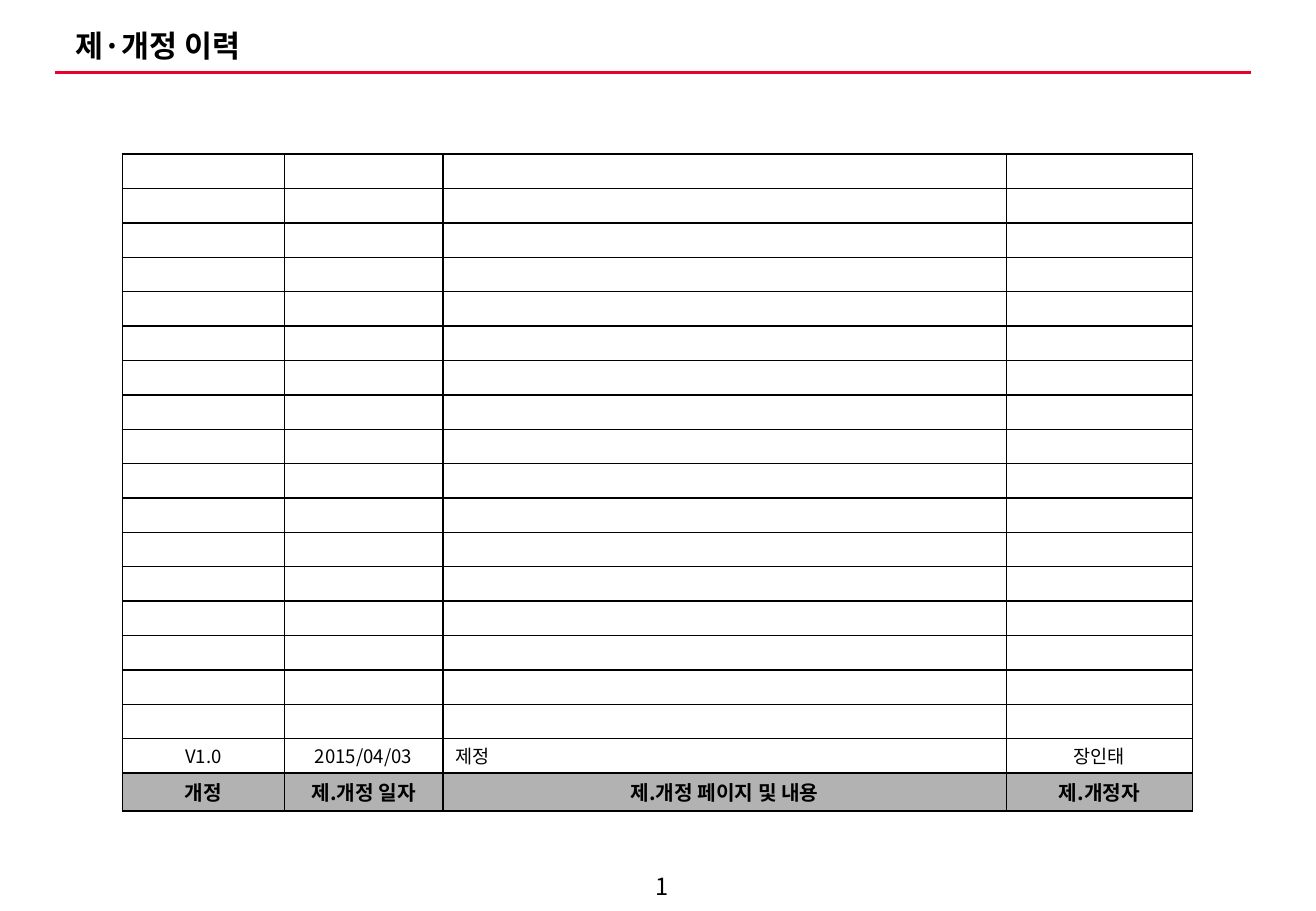
from dataclasses import dataclass

from lxml import etree
from pptx import Presentation
from pptx.dml import color
from pptx.enum import shapes, text
from pptx.oxml import ns
from pptx.util import Pt

FONT = "Noto Sans CJK KR"
COLORS = {"ink": "000000", "rule": "EA002C", "paper": "FFFFFF", "header": "B2B2B2"}
LEFT, CENTER = text.PP_ALIGN.LEFT, text.PP_ALIGN.CENTER
EMPTY_ROWS = 17
ROW_HEIGHT, HEADER_HEIGHT = 20.4, 22.5
BORDER_WIDTH = 1


@dataclass(frozen=True)
class Column:
    heading: str
    entry: str
    width: float
    entry_align: text.PP_ALIGN = CENTER


@dataclass(frozen=True)
class TextStyle:
    size: float
    bold: bool = False
    align: text.PP_ALIGN = CENTER
    line_spacing: float = 1.0


COLUMNS = [
    Column("개정", "V1.0", 95.9),
    Column("제.개정 일자", "2015/04/03", 94.1),
    Column("제.개정 페이지 및 내용", "제정", 334, LEFT),
    Column("제.개정자", "장인태", 110.2),
]


def rgb(name: str) -> color.RGBColor:
    return color.RGBColor.from_string(COLORS[name])


def write(text_frame, content: str, style: TextStyle) -> None:
    text_frame.text = content
    paragraph = text_frame.paragraphs[0]
    paragraph.alignment = style.align
    paragraph.line_spacing = style.line_spacing
    for run in paragraph.runs:
        run.font.name = FONT
        run.font.size = Pt(style.size)
        run.font.bold = style.bold
        run.font.color.rgb = rgb("ink")
        east_asian = etree.SubElement(run.font._element, ns.qn("a:ea"))
        east_asian.set("typeface", FONT)
    if not content:
        end = etree.SubElement(paragraph._p, ns.qn("a:endParaRPr"))
        end.set("sz", str(int(style.size * 100)))


def add_borders(cell) -> None:
    properties = cell._tc.get_or_add_tcPr()
    for side in ("lnL", "lnR", "lnT", "lnB"):
        line = etree.SubElement(properties, ns.qn(f"a:{side}"), w=str(Pt(BORDER_WIDTH)))
        fill = etree.SubElement(line, ns.qn("a:solidFill"))
        etree.SubElement(fill, ns.qn("a:srgbClr"), val=COLORS["ink"])


def fill_cell(cell, content: str, style: TextStyle, fill: str) -> None:
    cell.margin_top = cell.margin_bottom = 0
    cell.vertical_anchor = text.MSO_ANCHOR.MIDDLE
    add_borders(cell)
    cell.fill.solid()
    cell.fill.fore_color.rgb = rgb(fill)
    write(cell.text_frame, content, style)


def add_title(slide) -> None:
    title = slide.shapes.title
    title.left, title.top, title.width, title.height = Pt(37.5), Pt(15), Pt(705.6), Pt(26.6)
    frame = title.text_frame
    frame.word_wrap = True
    frame.auto_size = text.MSO_AUTO_SIZE.SHAPE_TO_FIT_TEXT
    frame.vertical_anchor = text.MSO_ANCHOR.MIDDLE
    write(frame, "제·개정 이력", TextStyle(18, True, LEFT, 0.9))


def add_title_rule(slide) -> None:
    rule = slide.shapes.add_connector(
        shapes.MSO_CONNECTOR.STRAIGHT, Pt(32.6), Pt(43), Pt(741.4), Pt(43)
    )
    rule.line.color.rgb = rgb("rule")
    rule.line.width = Pt(2.25)
    etree.SubElement(rule._element.spPr, ns.qn("a:effectLst"))


def add_history_table(slide) -> None:
    row_count = EMPTY_ROWS + 2
    width = sum(column.width for column in COLUMNS)
    height = ROW_HEIGHT * (row_count - 1) + HEADER_HEIGHT
    table = slide.shapes.add_table(
        row_count, len(COLUMNS), Pt(72.6), Pt(91.4), Pt(width), Pt(height)
    ).table
    table.first_row = table.horz_banding = False
    for row in table.rows:
        row.height = Pt(ROW_HEIGHT)
    table.rows[row_count - 1].height = Pt(HEADER_HEIGHT)
    for index, column in enumerate(COLUMNS):
        table.columns[index].width = Pt(column.width)
        entry_style = TextStyle(11, align=column.entry_align, line_spacing=0.9)
        for row_index in range(EMPTY_ROWS):
            fill_cell(table.cell(row_index, index), "", entry_style, "paper")
        fill_cell(table.cell(EMPTY_ROWS, index), column.entry, entry_style, "paper")
        fill_cell(
            table.cell(EMPTY_ROWS + 1, index), column.heading, TextStyle(12, True), "header"
        )


def add_page_number(slide) -> None:
    box = slide.shapes.add_textbox(Pt(367.2), Pt(514), Pt(51), Pt(22.4))
    box.text_frame.word_wrap = True
    box.text_frame.vertical_anchor = text.MSO_ANCHOR.MIDDLE
    write(box.text_frame, "1", TextStyle(14))


def main() -> None:
    presentation = Presentation()
    presentation.slide_width, presentation.slide_height = Pt(780), Pt(540)
    slide = presentation.slides.add_slide(presentation.slide_layouts[5])
    add_page_number(slide)
    add_title_rule(slide)
    add_title(slide)
    add_history_table(slide)
    presentation.save("out.pptx")


if __name__ == "__main__":
    main()
